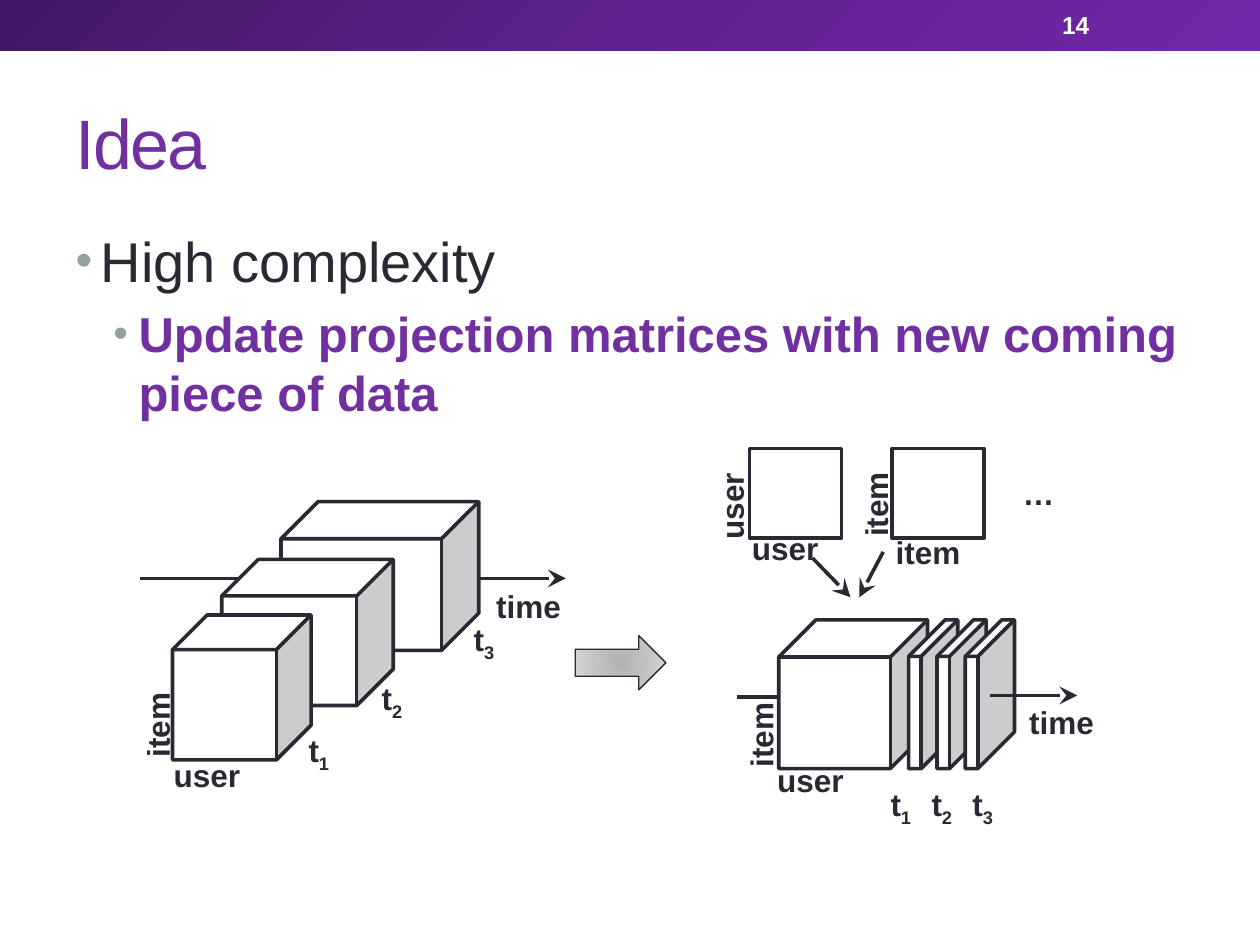
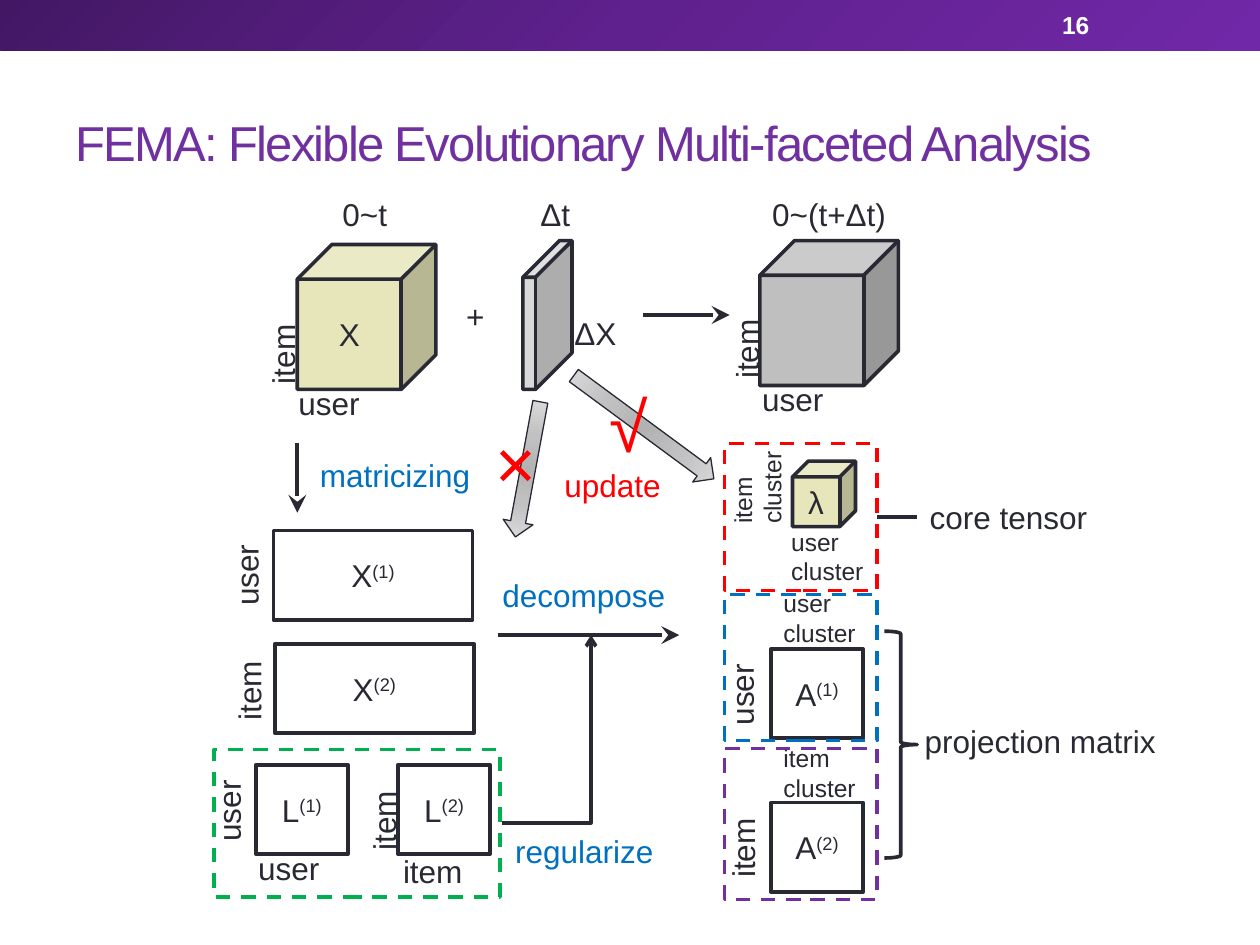
import pptx
import pptx.dml.color
import pptx.enum.dml
import pptx.enum.shapes
import pptx.enum.text
import pptx.oxml
import pptx.oxml.ns
import pptx.util

Pt = pptx.util.Pt
SHAPE = pptx.enum.shapes.MSO_SHAPE
CONNECTOR = pptx.enum.shapes.MSO_CONNECTOR
ANCHOR = pptx.enum.text.MSO_ANCHOR
ALIGN = pptx.enum.text.PP_ALIGN
AUTO_SIZE = pptx.enum.text.MSO_AUTO_SIZE
qn = pptx.oxml.ns.qn

FONT = "Arial"
INK, PURPLE, WHITE = "292934", "7030A0", "FFFFFF"
RED, BLUE, GREEN = "FF0000", "0070C0", "00B050"
BULLET, SAND, SILVER, GRAY = "93A299", "E7E5BA", "D9D9D9", "BFBFBF"
BAND_STOPS = [(0, "431764"), (50, "5F218E"), (100, "7128A8")]
ARROW_STOPS = [(0, "B2B2B3"), (45, "C1C1C2"), (100, "DDDDDE")]
LINEAR = '<a:lin ang="2700000" scaled="0"/>'
RADIAL = ('<a:path path="circle"><a:fillToRect l="100000" t="100000" '
          'r="100000" b="100000"/></a:path>')
STEALTH = '<a:tailEnd type="stealth" w="lg" len="lg"/>'
OPEN_ARROW = '<a:tailEnd type="arrow"/>'
LINE_WIDTH = 2.08
LABEL_HEIGHT = 29
SLICE_ADJ = 0.744
SLICE = (28.1, 85)
SQUARE = (52.6, 51.1)
CUBE = (79.2, 82.8)


def rgb(color):
    return pptx.dml.color.RGBColor.from_string(color)


def element(xml):
    """Parse one drawing element, adding the namespace to its first tag."""
    end = min(i for i in (xml.find(" "), xml.find(">"), xml.find("/>")) if i > 0)
    return pptx.oxml.parse_xml(xml[:end] + " " + pptx.oxml.ns.nsdecls("a") + xml[end:])


class Deck:
    def __init__(self):
        self.prs = pptx.Presentation()
        self.prs.slide_width, self.prs.slide_height = Pt(720), Pt(540)

    def new_slide(self, layout, title, title_size, number, bold):
        """Start a slide with band, number and title; bold is for its labels."""
        self.s = self.prs.slides.add_slide(self.prs.slide_layouts[layout])
        self.bold = bold
        band = self.shape(SHAPE.RECTANGLE, 0, 0, 720, 28.8, line=None)
        self.gradient(band, BAND_STOPS, LINEAR)

        sp = self.s.shapes.add_textbox(Pt(599.8), Pt(1.4), Pt(84.2), Pt(26))
        tf = sp.text_frame
        tf.word_wrap = True
        tf.vertical_anchor = ANCHOR.MIDDLE
        self.run(tf.paragraphs[0], number, 14, WHITE, True)

        tf = self.placeholder(self.s.shapes.title, 36, 42, 648, 77.8)
        tf.vertical_anchor = ANCHOR.MIDDLE
        tf.paragraphs[0].alignment = ALIGN.LEFT
        r = self.run(tf.paragraphs[0], title, title_size, PURPLE, False)
        r.font._element.set("spc", "-100")

    def placeholder(self, sp, x, y, w, h):
        sp.left, sp.top, sp.width, sp.height = Pt(x), Pt(y), Pt(w), Pt(h)
        sp.text_frame.auto_size = AUTO_SIZE.NONE
        return sp.text_frame

    def bullets(self, items):
        """Fill the body with (level, text, size, color, bold) items."""
        tf = self.placeholder(self.s.placeholders[1], 36, 126, 648, 383.8)
        for i, (level, text, size, color, bold) in enumerate(items):
            p = tf.add_paragraph() if i else tf.paragraphs[0]
            p.level = level
            p.space_before = Pt(5.6 if i else 0)
            pPr = p._p.get_or_add_pPr()
            pPr.set("marL", str(Pt(14.4 + 21.6 * level)))
            pPr.set("indent", str(Pt(-14.4)))
            for xml in (f'<a:buClr><a:srgbClr val="{BULLET}"/></a:buClr>',
                        '<a:buSzPct val="85000"/>',
                        f'<a:buFont typeface="{FONT}"/>',
                        '<a:buChar char="•"/>'):
                pPr.append(element(xml))
            self.run(p, text, size, color, bold)

    def run(self, p, text, size, color, bold):
        r = p.add_run()
        r.text = text
        r.font.name, r.font.size, r.font.bold = FONT, Pt(size), bold
        r.font.color.rgb = rgb(color)
        return r

    def scripted(self, p, text, size=18, color=INK):
        """Add runs; what follows _ is a subscript, what follows ^ a superscript."""
        mark = "_" if "_" in text else "^"
        base, _, script = text.partition(mark)
        self.run(p, base, size, color, self.bold)
        if script:
            r = self.run(p, script, size, color, self.bold)
            r.font._element.set("baseline", "-25000" if mark == "_" else "30000")

    def label(self, text, x, y, w, h=LABEL_HEIGHT, size=18, color=INK, rot=0):
        sp = self.s.shapes.add_textbox(Pt(x), Pt(y), Pt(w), Pt(h))
        sp.rotation = rot
        tf = sp.text_frame
        tf.word_wrap = False
        tf.auto_size = AUTO_SIZE.SHAPE_TO_FIT_TEXT
        for i, line in enumerate(text.split("\n")):
            p = tf.add_paragraph() if i else tf.paragraphs[0]
            self.scripted(p, line, size, color)
        return sp

    def axis_labels(self, across, upward, w):
        """Write (text, x, y) labels, level ones and ones read upward."""
        for rot, labels in ((0, across), (270, upward)):
            for text, x, y in labels:
                self.label(text, x, y, w, rot=rot)

    def shape(self, kind, x, y, w, h, fill=None, line=INK, width=LINE_WIDTH,
              text="", adj=None, dashed=False):
        sp = self.s.shapes.add_shape(kind, Pt(x), Pt(y), Pt(w), Pt(h))
        sp.shadow.inherit = False
        if adj is not None:
            sp.adjustments[0] = adj
        if fill:
            sp.fill.solid()
            sp.fill.fore_color.rgb = rgb(fill)
        else:
            sp.fill.background()
        if line:
            sp.line.color.rgb = rgb(line)
            sp.line.width = Pt(width)
        else:
            sp.line.fill.background()
        if dashed:
            sp.line.dash_style = pptx.enum.dml.MSO_LINE.DASH
        if text:
            sp.text_frame.vertical_anchor = ANCHOR.MIDDLE
            p = sp.text_frame.paragraphs[0]
            p.alignment = ALIGN.CENTER
            self.scripted(p, text)
        return sp

    def cube(self, x, y, w, h, fill=WHITE, text="", adj=None):
        return self.shape(SHAPE.CUBE, x, y, w, h, fill, text=text, adj=adj)

    def matrix(self, x, y, w, h, text=""):
        return self.shape(SHAPE.RECTANGLE, x, y, w, h, WHITE, text=text)

    def frame(self, x, y, w, h, color):
        return self.shape(SHAPE.RECTANGLE, x, y, w, h, line=color, dashed=True)

    def gradient(self, sp, stops, direction):
        spPr = sp._element.spPr
        for tag in ("a:noFill", "a:solidFill"):
            for old in spPr.findall(qn(tag)):
                spPr.remove(old)
        gs = "".join(f'<a:gs pos="{pos * 1000}"><a:srgbClr val="{color}"/></a:gs>'
                     for pos, color in stops)
        fill = element(f'<a:gradFill rotWithShape="1"><a:gsLst>{gs}</a:gsLst>'
                       f'{direction}</a:gradFill>')
        spPr.find(qn("a:prstGeom")).addnext(fill)

    def block_arrow(self, x, y, w, h, rot):
        sp = self.shape(SHAPE.DOWN_ARROW, x, y, w, h, width=0.75)
        sp.rotation = rot
        self.gradient(sp, ARROW_STOPS, RADIAL)

    def connector(self, x1, y1, x2, y2, head=None, kind=CONNECTOR.STRAIGHT):
        cxn = self.s.shapes.add_connector(kind, Pt(x1), Pt(y1), Pt(x2), Pt(y2))
        cxn.line.color.rgb = rgb(INK)
        cxn.line.width = Pt(LINE_WIDTH)
        spPr = cxn._element.spPr
        if head:
            spPr.find(qn("a:ln")).append(element(head))
        spPr.append(element("<a:effectLst/>"))
        return cxn

    def arrow(self, x1, y1, x2, y2):
        return self.connector(x1, y1, x2, y2, STEALTH)

    def corner_arrow(self, x1, y1, x2, y2):
        """Go across first, then up or down, with one bend."""
        cxn = self.connector(x1, y1, x2, y2, OPEN_ARROW, CONNECTOR.ELBOW)
        cxn._element.spPr.find(qn("a:prstGeom")).set("prst", "bentConnector2")


def idea_slide(deck):
    deck.new_slide(1, "Idea", 40, "14", bold=True)
    deck.bullets([
        (0, "High complexity", 32, INK, False),
        (1, "Update projection matrices with new coming piece of data",
         28, PURPLE, True),
    ])

    # Growing tensors along the time axis
    deck.connector(80, 330.5, 153.5, 330.5)
    deck.cube(160.6, 286.6, 113, 85)
    deck.cube(126.7, 319.7, 98, 83.5)
    deck.cube(98.6, 351.4, *CUBE)
    deck.arrow(274.3, 330.5, 323.3, 330.5)
    for i, (x, y) in enumerate([(169.2, 414), (211, 384.5), (263.5, 350.6)], 1):
        deck.label(f"t_{i}", x, y, 27.4)
    deck.block_arrow(339.1, 352.8, 31, 51.8, 270)

    # One tensor followed by thin slices
    deck.connector(421.2, 398.2, 487.4, 398.2)
    deck.cube(445, 354.2, 85, 85)
    for i in range(3):
        deck.cube(519.2 + 16.2 * i, 354.2, *SLICE, adj=SLICE_ADJ)
        deck.label(f"t_{i + 1}", 501.8 + 23.4 * i, 445, 27.4)
    deck.arrow(565.9, 397.4, 615.6, 397.4)

    # Matrices that feed the tensor
    for x in (428.4, 509.8):
        deck.matrix(x, 256.3, *SQUARE)
    deck.label("…", 577.4, 267.1, 32.4)
    deck.arrow(464.4, 319, 486, 341.3)
    deck.arrow(504.7, 315.4, 491, 341.3)

    deck.axis_labels(
        [("time", 276.5, 331.9), ("user", 92.2, 428.4), ("time", 581, 398.2),
         ("user", 437, 431.3), ("user", 422.6, 298.8), ("item", 504.7, 301)],
        [("item", 63.5, 398.9), ("item", 408.4, 404.6), ("user", 391.5, 274.3),
         ("item", 473.9, 272.9)], 53)


def fema_slide(deck):
    deck.new_slide(5, "FEMA: Flexible Evolutionary Multi-faceted Analysis",
                   28, "16", bold=False)

    # Tensor plus increment gives the new tensor
    deck.cube(169.9, 139.7, *CUBE, SAND, "X")
    deck.cube(298.8, 137.5, *SLICE, SILVER, adj=SLICE_ADJ)
    deck.cube(434.2, 137.5, *CUBE, GRAY)
    deck.arrow(367.2, 180, 416.9, 180)
    for text, x, y, w in [("0~t", 188.6, 108, 41), ("Δt", 301.7, 108, 31.7),
                          ("0~(t+Δt)", 434.2, 108, 83.5),
                          ("+", 259.2, 166.3, 25.2), ("ΔX", 321.1, 175.7, 39.6)]:
        deck.label(text, x, y, w)

    # Core tensor and projection matrices
    deck.cube(452.9, 263.5, 36, 37.4, SAND, "λ")
    for i, y in enumerate((370.8, 458.6), 1):
        deck.matrix(440.6, y, *SQUARE, f"A^({i})")
    for text, x, y, rot in [("user\ncluster", 440.6, 332.6, 0),
                            ("item\ncluster", 440.6, 421.2, 0),
                            ("user\ncluster", 445, 297.4, 0),
                            ("item\ncluster", 404.6, 257.8, 270)]:
        deck.label(text, x, y, 56.2, 41, size=14, rot=rot)
    core_frame = deck.frame(414, 253.4, 87.1, 84.2, RED)
    deck.frame(414, 339.8, 87.1, 83.5, BLUE)
    deck.frame(414, 427.7, 87.1, 86.4, PURPLE)
    core_label = deck.label("core tensor", 524.2, 281, 105.1)
    core_line = deck.connector(501.1, 295.5, 524.2, 295.5)
    core_line.begin_connect(core_frame, 3)
    core_line.end_connect(core_label, 1)
    deck.shape(SHAPE.RIGHT_BRACE, 505.4, 360.7, 18.7, 129.6)
    deck.label("projection matrix", 521.3, 409, 147.6)

    # Unfolded matrices and regularizers
    for i in range(2):
        deck.matrix(156.2 + 0.8 * i, 303.1 + 64.8 * i, 113.8, 51.1, f"X^({i + 1})")
        deck.matrix(146.2 + 81.3 * i, 437, *SQUARE, f"L^({i + 1})")
    deck.frame(122.4, 428.4, 163.4, 84.2, GREEN)

    # Steps between the parts
    deck.arrow(169.9, 253.4, 169.9, 293)
    deck.arrow(284.4, 362.9, 388.1, 362.9)
    deck.corner_arrow(286.6, 470.2, 337.7, 362.9)
    deck.block_arrow(293, 229, 17.3, 78.5, 10.5)
    deck.block_arrow(359.3, 194.4, 17.3, 99.4, 306.4)
    for text, x, y, w, color in [("matricizing", 175.7, 257, 101.5, BLUE),
                                 ("decompose", 280, 325.4, 108.7, BLUE),
                                 ("regularize", 287.3, 471.6, 94.3, BLUE),
                                 ("update", 315.4, 262.8, 69.8, RED)]:
        deck.label(text, x, y, w, color=color)
    for mark, x, y, w in [("×", 275.8, 236.2, 54.7), ("√", 341.3, 215.3, 36.7)]:
        deck.label(mark, x, y, w, 55.4, size=40, color=RED)

    deck.axis_labels(
        [("user", 163.4, 216), ("user", 428.4, 213.8), ("user", 140.4, 481.7),
         ("item", 223.2, 483.1)],
        [("item", 136.8, 187.2), ("item", 401.8, 184.3), ("user", 398.9, 382.3),
         ("item", 399.6, 469.4), ("user", 115.9, 313.9), ("item", 117.4, 379.4),
         ("item", 194.4, 453.6), ("user", 105.8, 448.6)], 49.7)


def main():
    deck = Deck()
    idea_slide(deck)
    fema_slide(deck)
    deck.prs.save("out.pptx")


if __name__ == "__main__":
    main()
